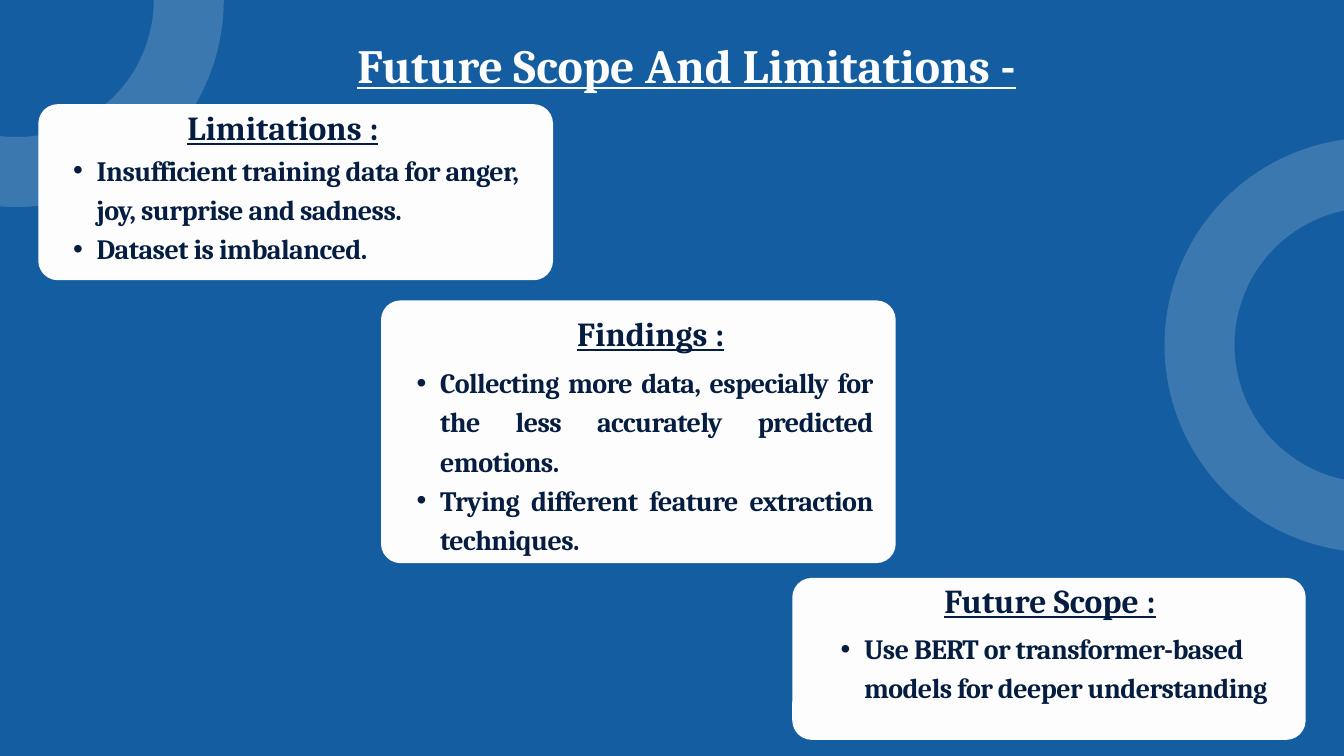
import pptx
import pptx.util
import pptx.dml.color
import pptx.enum.shapes
import pptx.enum.text
import pptx.oxml.ns
import lxml.etree

Inches, Pt = pptx.util.Inches, pptx.util.Pt
RGBColor = pptx.dml.color.RGBColor
MSO_SHAPE = pptx.enum.shapes.MSO_SHAPE
PP_ALIGN = pptx.enum.text.PP_ALIGN
qn = pptx.oxml.ns.qn

BLUE = RGBColor(0x14, 0x5D, 0xA0)
NAVY = RGBColor(0x05, 0x1D, 0x40)
OFF_WHITE = RGBColor(0xFD, 0xFD, 0xFD)
WHITE = RGBColor(0xFF, 0xFF, 0xFF)

CORNER = 0.29
RING = 5.13

prs = pptx.Presentation()
prs.slide_width, prs.slide_height = Inches(20), Inches(11.25)
s = prs.slides.add_slide(prs.slide_layouts[6])
s.background.fill.solid()
s.background.fill.fore_color.rgb = BLUE


def add_text(box, lines, size, color, align, bullet=False):
    tf = s.shapes.add_textbox(*[Inches(v) for v in box]).text_frame
    frame = {"word_wrap": True, "margin_left": 0, "margin_top": 0,
             "margin_right": 0, "margin_bottom": 0}
    for name, value in frame.items():
        setattr(tf, name, value)
    for i, line in enumerate(lines):
        p = tf.paragraphs[0] if i == 0 else tf.add_paragraph()
        p.alignment = align
        p.line_spacing = Pt(round(size * 1.4, 1))
        r = p.add_run()
        r.text = line
        font = {"name": "Cambria", "size": Pt(size), "bold": True,
                "underline": not bullet}
        for name, value in font.items():
            setattr(r.font, name, value)
        r.font.color.rgb = color
        if bullet:
            p.level = 1
            pPr = p._p.get_or_add_pPr()
            pPr.set("marL", str(Inches(0.71)))
            pPr.set("indent", str(Inches(-0.35)))
            lxml.etree.SubElement(pPr, qn("a:buFont")).set("typeface", "Arial")
            lxml.etree.SubElement(pPr, qn("a:buChar")).set("char", "•")
            r.font._element.set("spc", "-60")


for x, y in [(-2.32, -2.57), (17.85, 2.57)]:
    ring = s.shapes.add_shape(MSO_SHAPE.OVAL, Inches(x), Inches(y), Inches(RING), Inches(RING))
    ring.shadow.inherit = False
    ring.fill.background()
    ring.line.width = Pt(75)
    ring.line.color.rgb = WHITE
    clr = ring.line._ln.find(".//" + qn("a:srgbClr"))
    lxml.etree.SubElement(clr, qn("a:alpha")).set("val", "16000")

cards = [
    {"card": (5.67, 4.47, 7.66, 3.91), "title": "Findings :",
     "title_box": (7.8, 4.56, 3.77, 0.67), "title_size": 36,
     "body": ["Collecting more data, especially for the less accurately predicted emotions.",
              "Trying different feature extraction techniques."],
     "body_box": (5.84, 5.36, 7.15, 3.42), "body_size": 30, "align": PP_ALIGN.JUSTIFY},
    {"card": (11.79, 8.6, 7.64, 2.41), "title": "Future Scope :",
     "title_box": (13.74, 8.53, 3.77, 0.67), "title_size": 35.9,
     "body": ["Use BERT or transformer-based models for deeper understanding"],
     "body_box": (12.15, 9.32, 6.93, 1.12), "body_size": 29.9, "align": PP_ALIGN.LEFT},
    {"card": (0.57, 1.55, 7.66, 2.62), "title": "Limitations :",
     "title_box": (2.32, 1.49, 3.78, 0.66), "title_size": 36,
     "body": ["Insufficient training data for anger, joy, surprise and sadness.",
              "Dataset is imbalanced."],
     "body_box": (0.73, 2.2, 7.33, 2.3), "body_size": 30, "align": PP_ALIGN.LEFT},
]

for c in cards:
    sp = s.shapes.add_shape(MSO_SHAPE.ROUNDED_RECTANGLE, *[Inches(v) for v in c["card"]])
    sp.adjustments[0] = CORNER / c["card"][3]
    sp.shadow.inherit = False
    sp.fill.solid()
    sp.fill.fore_color.rgb = OFF_WHITE
    sp.line.fill.background()
    add_text(c["body_box"], c["body"], c["body_size"], NAVY, c["align"], bullet=True)
    add_text(c["title_box"], [c["title"]], c["title_size"], NAVY, PP_ALIGN.CENTER)

add_text((3.46, 0.39, 13.51, 0.96), ["Future Scope And Limitations -"], 51.1,
         OFF_WHITE, PP_ALIGN.CENTER)

prs.save("out.pptx")
